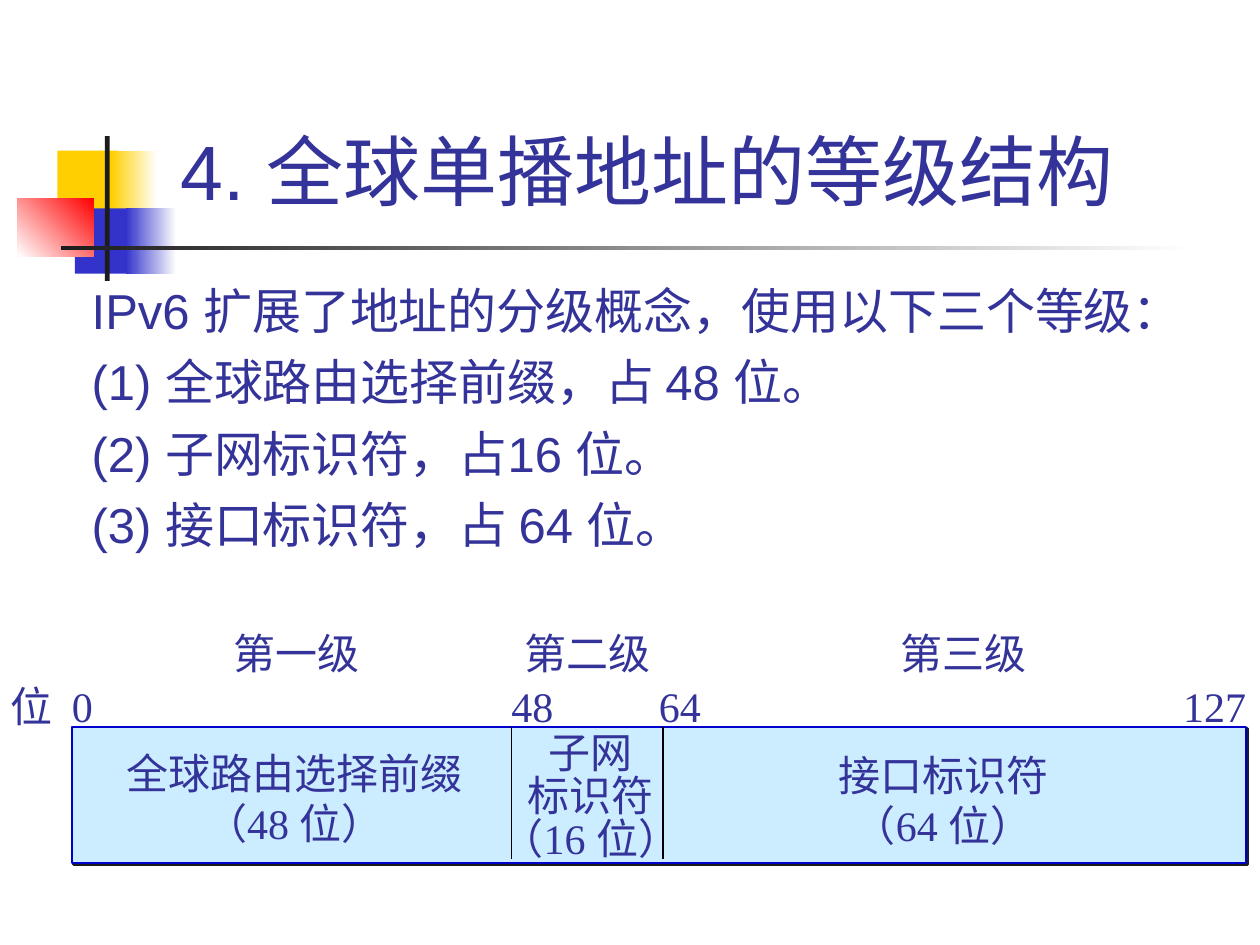
from itertools import accumulate
from typing import NamedTuple

from lxml import etree
from pptx import Presentation
from pptx.dml.color import RGBColor
from pptx.enum.shapes import MSO_CONNECTOR, MSO_SHAPE
from pptx.enum.text import MSO_ANCHOR, MSO_AUTO_SIZE, PP_ALIGN
from pptx.oxml.ns import qn
from pptx.util import Inches, Pt

RECTANGLE = MSO_SHAPE.RECTANGLE
STRAIGHT = MSO_CONNECTOR.STRAIGHT
BOTTOM, TOP = MSO_ANCHOR.BOTTOM, MSO_ANCHOR.TOP
LEFT, CENTER = PP_ALIGN.LEFT, PP_ALIGN.CENTER
NO_FIT = MSO_AUTO_SIZE.NONE

INK, DARK, WHITE = "333399", "1C1C1C", "FFFFFF"
YELLOW, BLUE, RED = "FFCF01", "3333CC", "FF0000"
SANS, SERIF = "Arial", "Times New Roman"


class Box(NamedTuple):
    """A region in inches."""
    left: float
    top: float
    width: float
    height: float

    def share(self, x, y, w, h):
        return Box(self.left + x * self.width, self.top + y * self.height,
                   w * self.width, h * self.height)

    def emu(self):
        return [Inches(length) for length in self]


def color(value):
    return RGBColor.from_string(value)


def add_block(page, box, fill, fade_to=None, angle=180):
    """Rectangle without outline, solid or fading clockwise along angle."""
    block = page.shapes.add_shape(RECTANGLE, *box.emu())
    block.shadow.inherit = False
    block.line.fill.background()
    if fade_to is None:
        block.fill.solid()
        block.fill.fore_color.rgb = color(fill)
    else:
        block.fill.gradient()
        block.fill.gradient_angle = 360 - angle
        for stop, value in zip(block.fill.gradient_stops, (fill, fade_to)):
            stop.color.rgb = color(value)
    return block


def write(frame, lines, size, font, align=LEFT, wrap=False, spacing=None,
          gap=0, anchor=TOP):
    frame.word_wrap = wrap
    frame.auto_size = NO_FIT
    frame.vertical_anchor = anchor
    for index, line in enumerate(lines):
        para = frame.add_paragraph() if index else frame.paragraphs[0]
        para.text = line
        para.alignment = align
        para.line_spacing = spacing
        para.space_before = Pt(gap if index else 0)
        para.font.size = Pt(size)
        para.font.name = font
        para.font.color.rgb = color(INK)


def add_text(page, box, lines, size, font, **style):
    text = page.shapes.add_textbox(*box.emu())
    write(text.text_frame, lines, size, font, **style)
    return text


def add_emblem(page, box):
    """Overlapping squares with a vertical bar and a fading title rule."""
    parts = [
        ((0.25, 0.10, 0.38, 0.45), YELLOW, None, 0),
        ((0.59, 0.10, 0.29, 0.45), WHITE, YELLOW, 180),
        ((0.36, 0.50, 0.37, 0.45), BLUE, None, 0),
        ((0.68, 0.50, 0.32, 0.45), WHITE, BLUE, 180),
        ((0, 0.43, 0.48, 0.40), RED, WHITE, 135),
        ((0.55, 0, 0.03, 1), DARK, None, 0),
        ((0.27, 0.76, 7.14, 0.03), WHITE, DARK, 180),
    ]
    for place, fill, fade_to, angle in parts:
        add_block(page, box.share(*place), fill, fade_to, angle)


def add_title(page, box, text):
    title = page.shapes.title
    title.left, title.top, title.width, title.height = box.emu()
    write(title.text_frame, [text], 44, SANS, align=CENTER, wrap=True, anchor=BOTTOM)


def add_ruler(page, box, unit, marks, end_mark):
    """Bit numbers on tab stops, the last one right-aligned."""
    ruler = add_text(page, box, ["\t".join([unit, *marks, end_mark[0]])], 24, SERIF)
    frame = ruler.text_frame
    frame.margin_left = Inches(0.08)
    properties = frame.paragraphs[0]._p.get_or_add_pPr()
    tabs = etree.Element(qn("a:tabLst"))
    stops = [(place, "l") for place in marks.values()] + [(end_mark[1], "r")]
    for place, side in stops:
        offset = Inches(place - box.left) - frame.margin_left
        etree.SubElement(tabs, qn("a:tab"), pos=str(offset), algn=side)
    properties.find(qn("a:defRPr")).addprevious(tabs)


def add_address_bar(page, box, fields):
    """Outlined bar split into fields, with a level name above each."""
    bar = add_block(page, box, "CCECFF")
    bar.line.color.rgb = color("0000CC")
    bar.line.width = Pt(1.5)
    effects = bar._element.spPr.find(qn("a:effectLst"))
    shadow = etree.SubElement(effects, qn("a:outerShdw"), dist=str(Pt(1.4)),
                              dir="2700000", algn="ctr", rotWithShape="0")
    etree.SubElement(shadow, qn("a:srgbClr"), val=DARK)

    edges = [box.left, *accumulate((field[0] for field in fields), initial=box.left)][1:]
    for edge, (width, level, level_shift, lines, shift, drop, spacing) in zip(edges, fields):
        middle = edge + width / 2
        add_text(page, Box(middle + level_shift - 0.6, box.top - 0.84, 1.2, 0.5),
                 [level], 24, SERIF, align=CENTER)
        add_text(page, Box(middle + shift - width / 2, box.top + drop, width, 0.9),
                 lines, 24, SERIF, align=CENTER, spacing=spacing)

    # Field dividers
    for edge in edges[1:-1]:
        divider = page.shapes.add_connector(
            STRAIGHT, Inches(edge), Inches(box.top),
            Inches(edge), Inches(box.top + 1.05))
        divider.line.color.rgb = color("000000")
        divider.line.width = Pt(1)
        etree.SubElement(divider._element.spPr, qn("a:effectLst"))


def main():
    deck = Presentation()
    deck.slide_width, deck.slide_height = Inches(10), Inches(7.5)
    page = deck.slides.add_slide(deck.slide_layouts[5])

    add_emblem(page, Box(0.14, 1.08, 1.26, 1.15))
    add_title(page, Box(1.26, 0.76, 7.76, 1), "4. 全球单播地址的等级结构")

    # Three levels in words
    add_text(page, Box(0.63, 2.18, 9.37, 2.36), [
        "IPv6 扩展了地址的分级概念，使用以下三个等级：",
        "(1) 全球路由选择前缀，占 48 位。",
        "(2) 子网标识符，占16 位。",
        "(3) 接口标识符，占 64 位。",
    ], 28, SANS, wrap=True, gap=7)

    # Field width, level name and its shift, text with its shift, drop and spacing
    add_address_bar(page, Box(0.57, 5.77, 9.32, 1.08), [
        (3.49, "第一级", 0.04, ["全球路由选择前缀", "（48 位）"], 0.02, 0.11, None),
        (1.20, "第二级", 0, ["子网", "标识符", "（16 位）"], 0.03, 0.01, 0.85),
        (4.63, "第三级", 0.07, ["接口标识符", "（64 位）"], -0.09, 0.13, None),
    ])
    add_ruler(page, Box(0, 5.35, 10, 0.5), "位",
              {"0": 0.57, "48": 4.06, "64": 5.23}, ("127", 9.89))

    deck.save("out.pptx")


if __name__ == "__main__":
    main()
